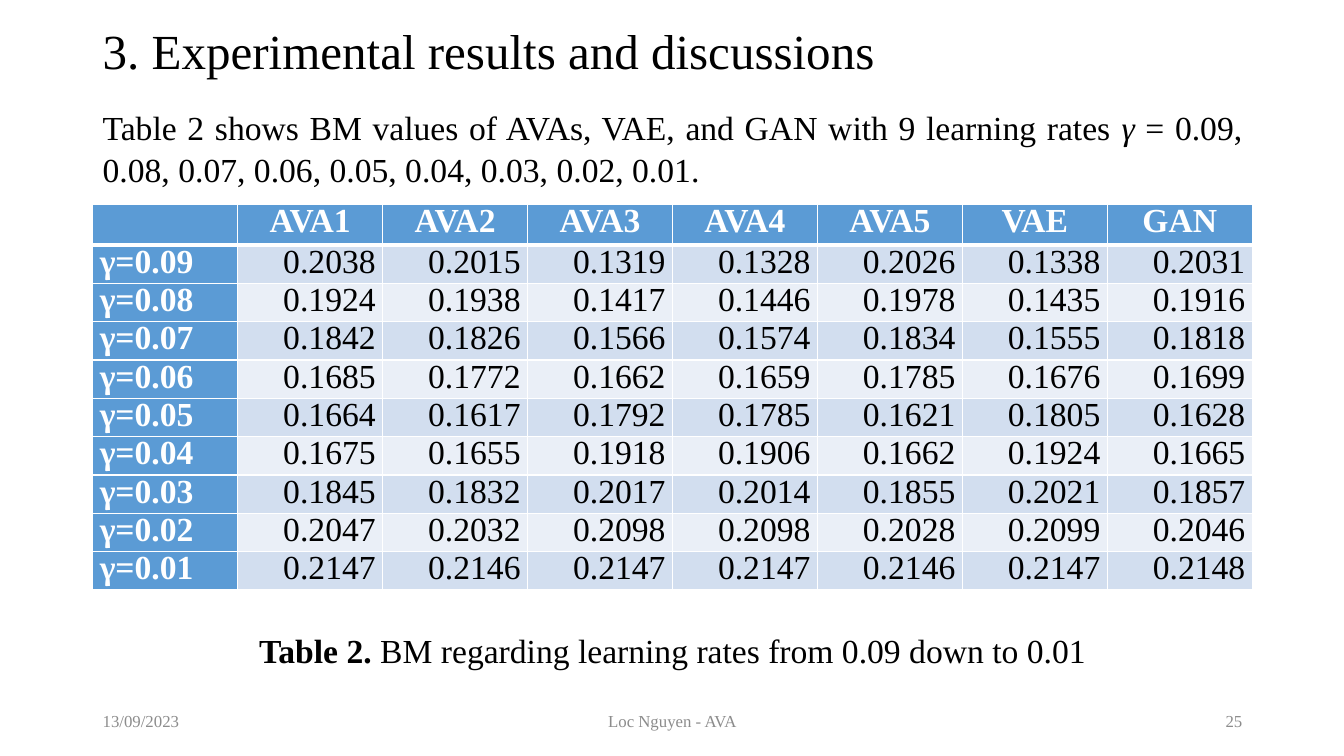
from dataclasses import dataclass

from lxml.etree import SubElement
from pptx import Presentation
from pptx.dml.color import RGBColor
from pptx.enum.text import MSO_ANCHOR, PP_ALIGN
from pptx.oxml.ns import qn
from pptx.util import Inches, Pt

TITLE = "3. Experimental results and discussions"
INTRO = [
    ("Table 2 shows BM values of AVAs, VAE, and GAN with 9 learning rates ", ""),
    ("γ", "italic"),
    (" = 0.09, 0.08, 0.07, 0.06, 0.05, 0.04, 0.03, 0.02, 0.01.", ""),
]
CAPTION = [("Table 2. ", "bold"), ("BM regarding learning rates from 0.09 down to 0.01", "")]
FOOTER = ["13/09/2023", "Loc Nguyen - AVA", "25"]
MODELS = ["AVA1", "AVA2", "AVA3", "AVA4", "AVA5", "VAE", "GAN"]
BM_VALUES = {
    "0.09": [0.2038, 0.2015, 0.1319, 0.1328, 0.2026, 0.1338, 0.2031],
    "0.08": [0.1924, 0.1938, 0.1417, 0.1446, 0.1978, 0.1435, 0.1916],
    "0.07": [0.1842, 0.1826, 0.1566, 0.1574, 0.1834, 0.1555, 0.1818],
    "0.06": [0.1685, 0.1772, 0.1662, 0.1659, 0.1785, 0.1676, 0.1699],
    "0.05": [0.1664, 0.1617, 0.1792, 0.1785, 0.1621, 0.1805, 0.1628],
    "0.04": [0.1675, 0.1655, 0.1918, 0.1906, 0.1662, 0.1924, 0.1665],
    "0.03": [0.1845, 0.1832, 0.2017, 0.2014, 0.1855, 0.2021, 0.1857],
    "0.02": [0.2047, 0.2032, 0.2098, 0.2098, 0.2028, 0.2099, 0.2046],
    "0.01": [0.2147, 0.2146, 0.2147, 0.2147, 0.2146, 0.2147, 0.2148],
}


@dataclass(frozen=True)
class Theme:
    font: str = "Times New Roman"
    ink: str = "000000"
    muted: str = "8C8C8C"
    white: str = "FFFFFF"
    header: str = "5B9BD5"
    bands: tuple = ("D2DEEF", "EAEFF7")
    title_size: int = 35
    body_size: int = 24
    footer_size: int = 12


THEME = Theme()
SLIDE_WIDTH, SLIDE_HEIGHT = 13.33, 7.5
MARGIN = 0.92
CONTENT_WIDTH = 11.5
TABLE_TOP, TABLE_HEIGHT = 2.03, 3.67


def style(span, size, color, emphasis=""):
    span.font.name = THEME.font
    span.font.size = Pt(size)
    span.font.color.rgb = RGBColor.from_string(color)
    span.font.bold = emphasis == "bold"
    span.font.italic = emphasis == "italic"


def add_text(page, area, spans, size, color=THEME.ink, align=PP_ALIGN.LEFT,
             anchor=MSO_ANCHOR.TOP, spacing=1.0):
    box = page.shapes.add_textbox(*(Inches(length) for length in area))
    frame = box.text_frame
    frame.word_wrap = True
    frame.vertical_anchor = anchor
    para = frame.paragraphs[0]
    para.alignment = align
    para.line_spacing = spacing
    for text, emphasis in spans:
        span = para.add_run()
        span.text = text
        style(span, size, color, emphasis)


def set_borders(cell, bottom_width):
    """Draw white borders; they must precede the fill in the cell's XML."""
    properties = cell._tc.get_or_add_tcPr()
    for side in ("lnL", "lnR", "lnT", "lnB"):
        width = bottom_width if side == "lnB" else 1
        line = SubElement(properties, qn(f"a:{side}"), w=str(Pt(width)))
        fill = SubElement(line, qn("a:solidFill"))
        SubElement(fill, qn("a:srgbClr"), val=THEME.white)


def fill_cell(cell, text, is_header, fill, align, bottom_width):
    set_borders(cell, bottom_width)
    cell.fill.solid()
    cell.fill.fore_color.rgb = RGBColor.from_string(fill)
    cell.margin_left = cell.margin_right = Inches(0.07)
    cell.margin_top = cell.margin_bottom = 0
    para = cell.text_frame.paragraphs[0]
    para.text = text
    para.alignment = align
    para.line_spacing = 0.95
    para.font.size = Pt(THEME.body_size)
    for span in para.runs:
        style(span, THEME.body_size, THEME.white if is_header else THEME.ink,
              "bold" if is_header else "")


def add_results(page):
    rows = [["", *MODELS]]
    rows += [[f"γ={rate}", *(f"{value:.4f}" for value in values)]
             for rate, values in BM_VALUES.items()]
    table = page.shapes.add_table(
        len(rows), len(rows[0]), Inches(MARGIN), Inches(TABLE_TOP),
        Inches(CONTENT_WIDTH), Inches(TABLE_HEIGHT)).table
    for r, row in enumerate(rows):
        table.rows[r].height = Inches(TABLE_HEIGHT / len(rows))
        for c, text in enumerate(row):
            is_header = r == 0 or c == 0
            fill = THEME.header if is_header else THEME.bands[(r - 1) % 2]
            if r == 0:
                align = PP_ALIGN.CENTER
            else:
                align = PP_ALIGN.JUSTIFY if c == 0 else PP_ALIGN.RIGHT
            fill_cell(table.cell(r, c), text, is_header, fill, align, 3 if r == 0 else 1)


def add_footer(page):
    widths = (3, 4.5, 3)
    gap = (CONTENT_WIDTH - sum(widths)) / 2
    aligns = (PP_ALIGN.LEFT, PP_ALIGN.CENTER, PP_ALIGN.RIGHT)
    left = MARGIN
    for text, width, align in zip(FOOTER, widths, aligns):
        add_text(page, (left, 6.95, width, 0.4), [(text, "")], THEME.footer_size,
                 THEME.muted, align, MSO_ANCHOR.MIDDLE)
        left += width + gap


def main():
    deck = Presentation()
    deck.slide_width, deck.slide_height = Inches(SLIDE_WIDTH), Inches(SLIDE_HEIGHT)
    page = deck.slides.add_slide(deck.slide_layouts[6])
    add_text(page, (MARGIN, 0.13, CONTENT_WIDTH, 0.72), [(TITLE, "")],
             THEME.title_size, anchor=MSO_ANCHOR.MIDDLE)
    add_text(page, (MARGIN, 1, CONTENT_WIDTH, 0.95), INTRO, THEME.body_size,
             align=PP_ALIGN.JUSTIFY, spacing=1.04)
    add_results(page)
    add_text(page, (MARGIN, 6.2, CONTENT_WIDTH, 0.5), CAPTION, THEME.body_size,
             align=PP_ALIGN.CENTER)
    add_footer(page)
    deck.save("out.pptx")


if __name__ == "__main__":
    main()
